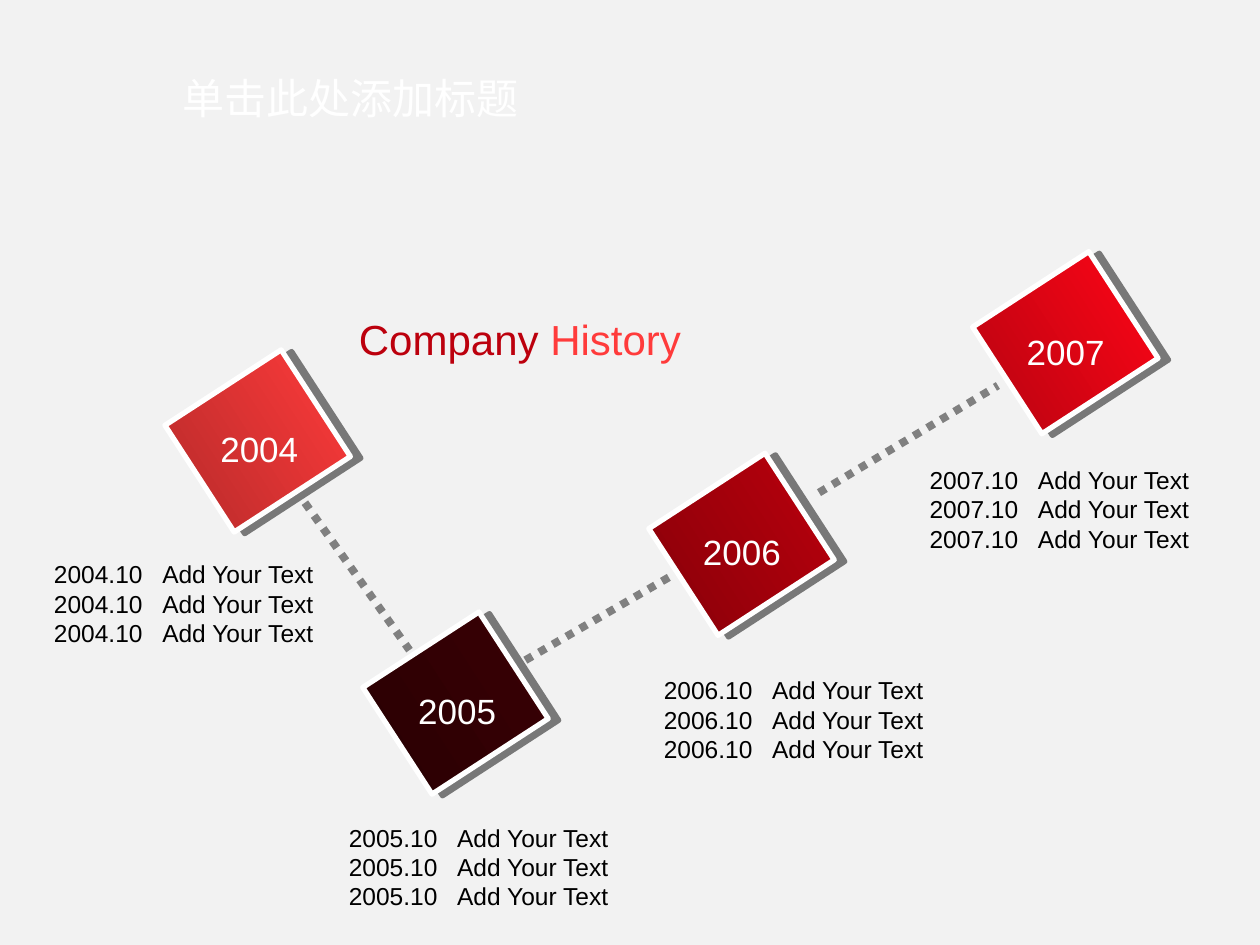
from dataclasses import dataclass

from lxml.etree import SubElement
from pptx import Presentation
from pptx.dml.color import RGBColor
from pptx.enum.dml import MSO_LINE_DASH_STYLE as Dash
from pptx.enum.shapes import MSO_CONNECTOR as Connector, MSO_SHAPE as Preset
from pptx.enum.text import MSO_AUTO_SIZE as AutoSize
from pptx.oxml.ns import qn
from pptx.util import Inches, Pt

FONT = "Arial"
COLORS = {
    "background": "F2F2F2", "white": "FFFFFF", "black": "000000",
    "dots": "808080", "company": "BC000D", "history": "FF3B3B",
    "heading_shadow": "C0C0C0",
}
DIAMOND_WIDTH, DIAMOND_HEIGHT = 1.01, 1.1
EVENTS_PER_YEAR = 3


@dataclass(frozen=True)
class Milestone:
    year: str
    diamond: tuple[float, float]
    label: tuple[float, float]
    events: tuple[float, float]
    gradient: tuple[str, str]


@dataclass(frozen=True)
class Trail:
    start: tuple[float, float]
    end: tuple[float, float]


MILESTONES = [
    Milestone("2004", (1.54, 2.95), (1.65, 3.34), (0.33, 4.39), ("FF3B3B", "B62A2A")),
    Milestone("2005", (3.11, 5.03), (3.22, 5.42), (2.67, 6.48), ("3A0004", "290003")),
    Milestone("2006", (5.38, 3.77), (5.48, 4.16), (5.17, 5.31), ("BC000D", "860009")),
    Milestone("2007", (7.95, 2.17), (8.05, 2.57), (7.28, 3.64), ("FF0517", "B60410")),
]
TRAILS = [
    Trail((2.42, 3.99), (3.25, 5.16)),
    Trail((4.17, 5.24), (5.33, 4.57)),
    Trail((6.5, 3.91), (7.92, 3.06)),
]


def rgb(name: str) -> RGBColor:
    """Return the colour for a palette name or a hex string."""
    return RGBColor.from_string(COLORS.get(name, name))


def add_shadow(effects, color: str, distance: float, angle: int, alpha: int) -> None:
    """Add a hard outer shadow to an effect list."""
    shadow = SubElement(effects, qn("a:outerShdw"), blurRad="0", dist=str(Pt(distance)),
                        dir=str(angle * 60000), algn="ctr", rotWithShape="0")
    tint = SubElement(shadow, qn("a:srgbClr"), val=COLORS[color])
    SubElement(tint, qn("a:alpha"), val=str(alpha * 1000))


def add_text(slide, lines: list[list[tuple[str, str]]], at: tuple[float, float],
             size: tuple[float, float], *, points: int, tab: float = 0,
             shadow: str = "") -> None:
    """Write lines of coloured runs in a text box."""
    box = slide.shapes.add_textbox(*map(Inches, at + size))
    frame = box.text_frame
    frame.word_wrap = True
    frame.auto_size = AutoSize.SHAPE_TO_FIT_TEXT
    for index, runs in enumerate(lines):
        paragraph = frame.paragraphs[0] if index == 0 else frame.add_paragraph()
        if tab:
            stops = SubElement(paragraph._p.get_or_add_pPr(), qn("a:tabLst"))
            SubElement(stops, qn("a:tab"), pos=str(Inches(tab)), algn="l")
        for words, color in runs:
            run = paragraph.add_run()
            run.text = words
            run.font.size = Pt(points)
            run.font.color.rgb = rgb(color)
            if shadow:
                effects = SubElement(run.font._element, qn("a:effectLst"))
                add_shadow(effects, shadow, 2.8, 45, 100)
            run.font.name = FONT


def add_diamond(slide, milestone: Milestone) -> None:
    """Draw the tilted square of a milestone."""
    diamond = slide.shapes.add_shape(
        Preset.RECTANGLE, *map(Inches, milestone.diamond + (DIAMOND_WIDTH, DIAMOND_HEIGHT)))
    diamond.rotation = 57
    diamond.fill.gradient()
    diamond.fill.gradient_angle = 270
    for stop, color in zip(diamond.fill.gradient_stops, milestone.gradient):
        stop.color.rgb = rgb(color)
    diamond.line.color.rgb = rgb("white")
    diamond.line.width = Pt(3)
    diamond.shadow.inherit = False
    effects = diamond._element.spPr.find(qn("a:effectLst"))
    add_shadow(effects, "black", 6.1, 9, 50)


def add_trail(slide, trail: Trail) -> None:
    """Draw a dotted line between two milestones."""
    dots = slide.shapes.add_connector(
        Connector.STRAIGHT, *map(Inches, trail.start + trail.end))
    dots.line.color.rgb = rgb("dots")
    dots.line.width = Pt(4.5)
    dots.line.dash_style = Dash.ROUND_DOT
    SubElement(dots._element.spPr, qn("a:effectLst"))


def main() -> None:
    """Build the company history slide."""
    deck = Presentation()
    deck.slide_width, deck.slide_height = Inches(10), Inches(7.5)
    slide = deck.slides.add_slide(deck.slide_layouts[6])
    slide.background.fill.solid()
    slide.background.fill.fore_color.rgb = rgb("background")

    add_text(slide, [[("单击此处添加标题", "white")]], (1.35, 0.53), (6, 0.5), points=24)
    for milestone in MILESTONES:
        add_diamond(slide, milestone)
        add_text(slide, [[(milestone.year, "white")]], milestone.label, (0.92, 0.4), points=20)
        event = [(f"{milestone.year}.10\tAdd Your Text", "black")]
        add_text(slide, [event] * EVENTS_PER_YEAR, milestone.events, (2.3, 0.8),
                 points=14, tab=0.86)
    for trail in TRAILS:
        add_trail(slide, trail)
    add_text(slide, [[("Company ", "company"), ("History", "history")]],
             (2.75, 2.44), (4.5, 0.5), points=24, shadow="heading_shadow")
    deck.save("out.pptx")


if __name__ == "__main__":
    main()
